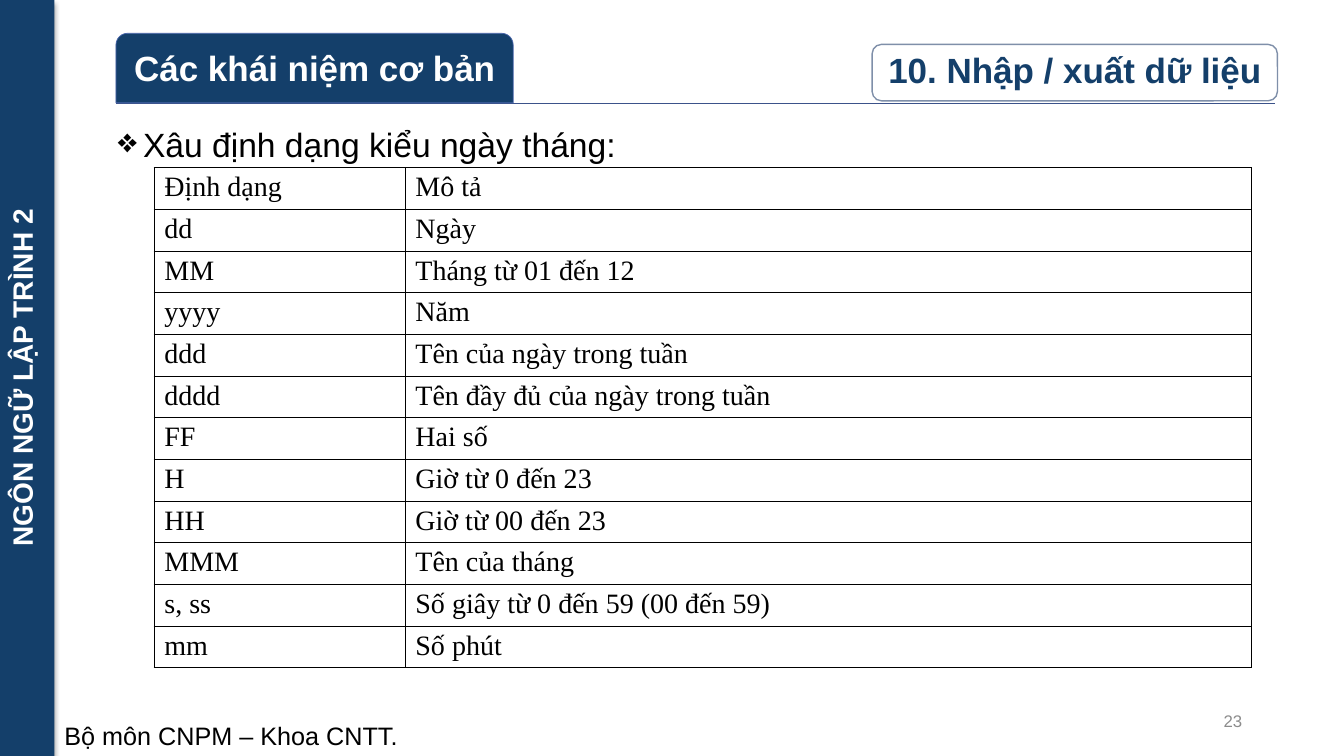
"""Build the slide on date format strings, with its side bar, headings and table."""
from dataclasses import dataclass

from lxml import etree
from pptx import Presentation
from pptx import util as u
from pptx.dml.color import RGBColor
from pptx.enum import shapes, text
from pptx.oxml import parse_xml
from pptx.oxml.ns import nsdecls, qn

COURSE = "NGÔN NGỮ LẬP TRÌNH 2"
DEPARTMENT = "Bộ môn CNPM – Khoa CNTT."
TOPIC = "Các khái niệm cơ bản"
SECTION = "10. Nhập / xuất dữ liệu"
PAGE = "23"
INTRO = "Xâu định dạng kiểu ngày tháng:"
FORMATS = [
    ("Định dạng", "Mô tả"),
    ("dd", "Ngày"),
    ("MM", "Tháng từ 01 đến 12"),
    ("yyyy", "Năm"),
    ("ddd", "Tên của ngày trong tuần"),
    ("dddd", "Tên đầy đủ của ngày trong tuần"),
    ("FF", "Hai số"),
    ("H", "Giờ từ 0 đến 23"),
    ("HH", "Giờ từ 00 đến 23"),
    ("MMM", "Tên của tháng"),
    ("s, ss", "Số giây từ 0 đến 59 (00 đến 59)"),
    ("mm", "Số phút"),
]


@dataclass(frozen=True)
class Theme:
    sans: str = "Arial"
    serif: str = "Times New Roman"
    navy: str = "143F6A"
    rule: str = "3B528A"
    topic_edge: str = "4A66AC"
    section_edge: str = "7F8FA9"
    white: str = "FFFFFF"
    black: str = "000000"
    grey: str = "8C8C8C"
    heading: int = 25
    intro: int = 24
    label: int = 20
    footer: int = 18
    page: int = 12


T = Theme()
SHARES = {
    "course": (0, 0, 4.05, 100),
    "department": (4.05, 94.67, 95.95, 5.33),
    "topic": (8.63, 4.4, 29.56, 9.2),
    "section": (64.89, 5.87, 30.16, 7.47),
    "page": (70.67, 92.67, 22.5, 5.33),
    "intro": (8.03, 16.4, 88.15, 72),
    "formats": (11.48, 22.2, 81.62, 66),
}
RULE_LEFT, RULE_RIGHT, RULE_TOP = 8.63, 94.9, 13.73
COLUMN_SHARES = (18.68, 62.94)

deck = Presentation()
deck.slide_width, deck.slide_height = u.Inches(13.33), u.Inches(7.5)
slide = deck.slides.add_slide(deck.slide_layouts[6])


def across(share):
    return round(deck.slide_width * share / 100)


def down(share):
    return round(deck.slide_height * share / 100)


def place(part):
    left, top, width, height = SHARES[part]
    return across(left), down(top), across(width), down(height)


def write(frame, words, size, color, font=T.sans, bold=False,
          align=text.PP_ALIGN.LEFT, anchor=text.MSO_ANCHOR.TOP):
    frame.word_wrap = True
    frame.vertical_anchor = anchor
    paragraph = frame.paragraphs[0]
    paragraph.alignment = align
    run = paragraph.add_run()
    run.text = words
    run.font.size, run.font.name, run.font.bold = u.Pt(size), font, bold
    run.font.color.rgb = RGBColor.from_string(color)
    return paragraph


def panel(part, preset, fill, edge=None, weight=1):
    box = slide.shapes.add_shape(preset, *place(part))
    box.shadow.inherit = False
    box.fill.solid()
    box.fill.fore_color.rgb = RGBColor.from_string(fill)
    if edge:
        box.line.color.rgb = RGBColor.from_string(edge)
        box.line.width = u.Pt(weight)
    else:
        box.line.fill.background()
    return box


def textbox(part):
    return slide.shapes.add_textbox(*place(part)).text_frame


def hang(paragraph, inches):
    properties = paragraph._p.get_or_add_pPr()
    properties.set("marL", str(u.Inches(inches)))
    properties.set("indent", str(-u.Inches(inches)))
    return properties


def add_course():
    bar = panel("course", shapes.MSO_SHAPE.RECTANGLE, T.navy)
    write(bar.text_frame, COURSE, T.label, T.white, bold=True,
          align=text.PP_ALIGN.CENTER)
    bar.text_frame._txBody.bodyPr.set("vert", "vert270")
    effects = bar._element.spPr.find(qn("a:effectLst"))
    effects.append(parse_xml(
        f'<a:outerShdw {nsdecls("a")} blurRad="{u.Pt(3.5)}" dist="{u.Pt(2.2)}" '
        f'dir="5400000" rotWithShape="0"><a:srgbClr val="{T.black}">'
        '<a:alpha val="32000"/></a:srgbClr></a:outerShdw>'))


def add_rule():
    rule = slide.shapes.add_connector(
        shapes.MSO_CONNECTOR.STRAIGHT, across(RULE_LEFT), down(RULE_TOP),
        across(RULE_RIGHT), down(RULE_TOP))
    rule.line.color.rgb = RGBColor.from_string(T.rule)
    rule.line.width = u.Pt(1)
    etree.SubElement(rule._element.spPr, qn("a:effectLst"))


def add_headings():
    topic = panel("topic", shapes.MSO_SHAPE.ROUND_2_SAME_RECTANGLE,
                  T.navy, T.topic_edge, 0.5)
    section = panel("section", shapes.MSO_SHAPE.ROUNDED_RECTANGLE,
                    T.white, T.section_edge)
    for box, words, color in ((topic, TOPIC, T.white), (section, SECTION, T.navy)):
        frame = box.text_frame
        frame.margin_left = frame.margin_right = u.Inches(0.05)
        heading = write(frame, words, T.heading, color, bold=True,
                        align=text.PP_ALIGN.CENTER, anchor=text.MSO_ANCHOR.MIDDLE)
        heading.line_spacing = 0.9


def add_intro():
    intro = write(textbox("intro"), INTRO, T.intro, T.black)
    intro.line_spacing, intro.space_before = 0.9, u.Pt(10)
    bullet = etree.SubElement(hang(intro, 0.25), qn("a:buChar"))
    bullet.set("char", "❖")


def outline(cell):
    properties = cell._tc.get_or_add_tcPr()
    for index, side in enumerate(("lnL", "lnR", "lnT", "lnB")):
        properties.insert(index, parse_xml(
            f'<a:{side} {nsdecls("a")} w="{u.Pt(1)}"><a:solidFill>'
            f'<a:srgbClr val="{T.black}"/></a:solidFill></a:{side}>'))


def add_formats():
    table = slide.shapes.add_table(
        len(FORMATS), len(COLUMN_SHARES), *place("formats")).table
    table.first_row = table.horz_banding = False
    for column, share in zip(table.columns, COLUMN_SHARES):
        column.width = across(share)
    for row, entries in enumerate(FORMATS):
        for column, words in enumerate(entries):
            cell = table.cell(row, column)
            cell.margin_top = cell.margin_bottom = u.Inches(0.04)
            cell.fill.background()
            hang(write(cell.text_frame, words, T.label, T.black, T.serif), 0.38)
            outline(cell)


def main():
    add_course()
    write(textbox("department"), DEPARTMENT, T.footer, T.black)
    add_rule()
    add_headings()
    write(textbox("page"), PAGE, T.page, T.grey,
          align=text.PP_ALIGN.RIGHT, anchor=text.MSO_ANCHOR.MIDDLE)
    add_intro()
    add_formats()
    deck.save("out.pptx")


if __name__ == "__main__":
    main()
